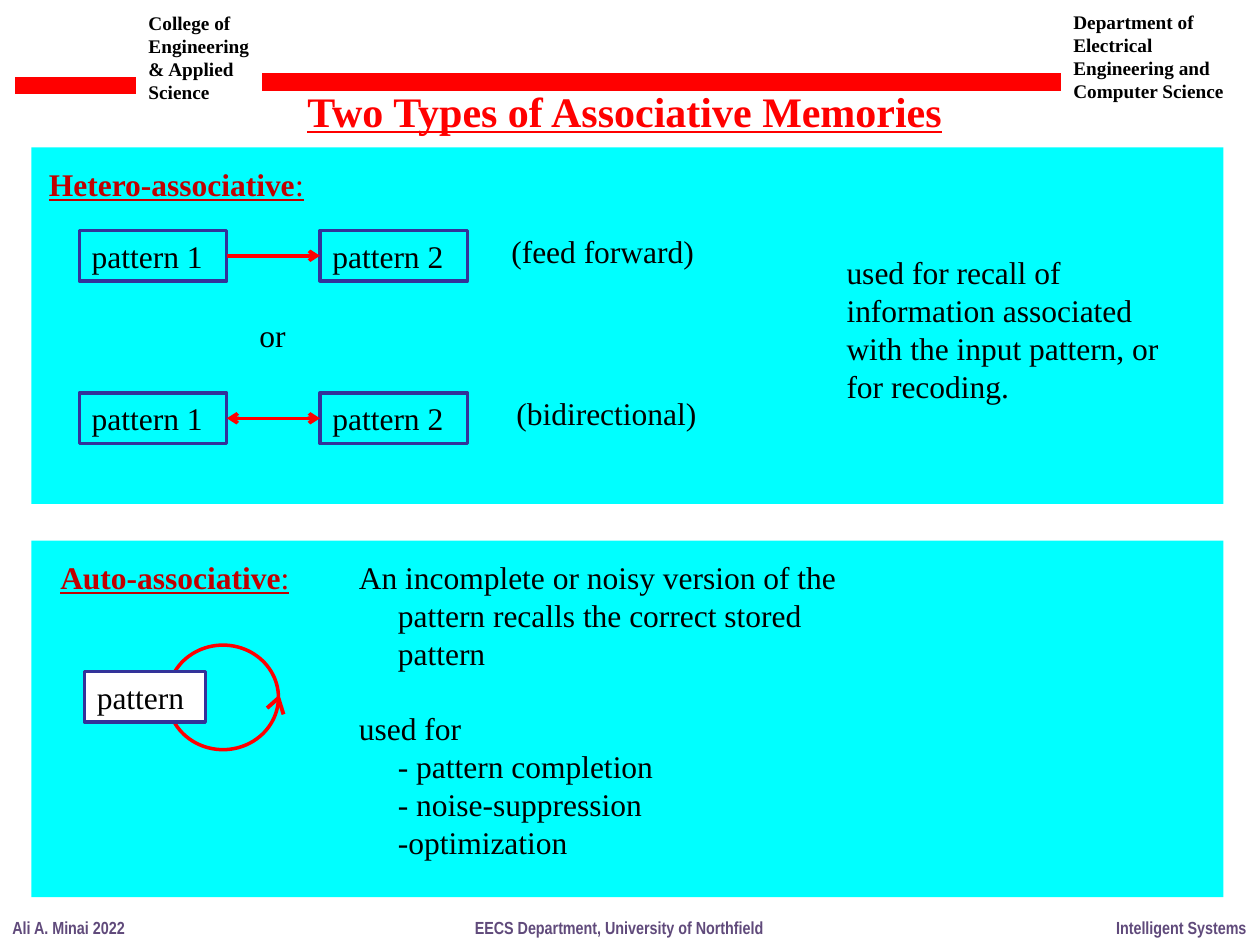
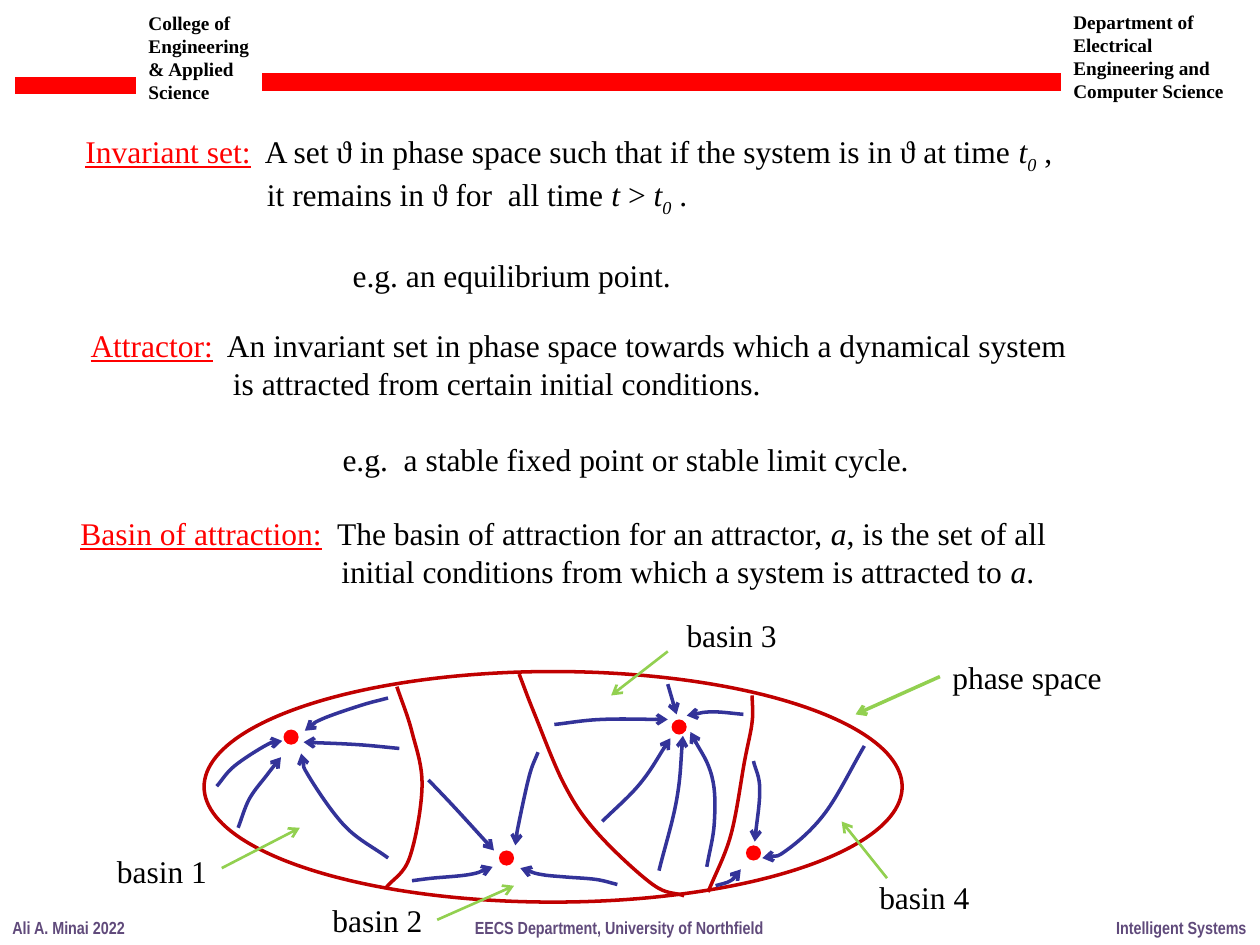
from lxml import etree
from pptx import Presentation
from pptx.dml.color import RGBColor
from pptx.enum.shapes import MSO_CONNECTOR, MSO_SHAPE
from pptx.enum.text import MSO_ANCHOR, PP_ALIGN
from pptx.oxml.ns import qn
from pptx.util import Inches, Pt

STRAIGHT = MSO_CONNECTOR.STRAIGHT
RECTANGLE, OVAL = MSO_SHAPE.RECTANGLE, MSO_SHAPE.OVAL
LEFT, TOP = PP_ALIGN.LEFT, MSO_ANCHOR.TOP

BLACK = RGBColor(0x00, 0x00, 0x00)
WHITE = RGBColor(0xFF, 0xFF, 0xFF)
RED = RGBColor(0xFF, 0x00, 0x00)
DARK_RED = RGBColor(0xC0, 0x00, 0x00)
CYAN = RGBColor(0x00, 0xFF, 0xFF)
NAVY = RGBColor(0x33, 0x33, 0x99)
GREEN = RGBColor(0x92, 0xD0, 0x50)
PURPLE = RGBColor(0x60, 0x4A, 0x7B)

SERIF, NARROW = "Times New Roman", "Arial Narrow"
BLANK_LINE = Pt(21.6)
PANEL_WIDTH, PANEL_HEIGHT = 9.46, 2.83
DOT = 0.12

TERM, ITALIC, SUBSCRIPT = "term", "italic", "subscript"

INVARIANT_SET = [
    (0, [("Invariant set:", TERM),
         ("  A set ϑ in phase space such that if the system is in ϑ at time ", None),
         ("t", ITALIC), ("0", SUBSCRIPT), (" ,", None)]),
    (1.44, [("it remains in ϑ for  all time ", None), ("t ", ITALIC), ("> ", None),
            ("t", ITALIC), ("0", SUBSCRIPT), (" .", None)]),
    (2.12, [("e.g. an equilibrium point.", None)]),
]
ATTRACTOR = [
    (0, [("Attractor:", TERM),
         ("  An invariant set in phase space towards which a dynamical system", None)]),
    (1.13, [("is attracted from certain initial conditions.", None)]),
    (2, [("e.g.  a stable fixed point or stable limit cycle.", None)]),
]
BASIN = [
    (0, [("Basin of attraction:", TERM), ("  The basin of attraction for an attractor, ", None),
         ("a", ITALIC), (", is the set of all", None)]),
    (2.07, [("initial conditions from which a system is attracted to ", None),
            ("a", ITALIC), (".", None)]),
]

BORDERS = [
    [(3.15, 0.65), (3.27, 1.01), (3.35, 1.44), (3.25, 2.01), (3.06, 2.25)],
    [(4.12, 0.55), (4.24, 0.86), (4.48, 1.43), (4.74, 1.81), (5.18, 2.22), (5.43, 2.31)],
    [(5.97, 0.72), (5.97, 0.93), (5.91, 1.24), (5.8, 1.83), (5.62, 2.28)],
]
FLOWS = [
    [(3.08, 2.01), (2.74, 1.76), (2.45, 1.36), (2.39, 1.18)],
    [(3.17, 1.14), (2.84, 1.11), (2.41, 1.09)],
    [(3.08, 0.74), (2.86, 0.8), (2.55, 0.91), (2.42, 1)],
    [(1.89, 1.77), (1.98, 1.54), (2.12, 1.35), (2.23, 1.21)],
    [(1.72, 1.44), (1.86, 1.28), (2.12, 1.11), (2.24, 1.08)],
    [(4.27, 1.17), (4.2, 1.36), (4.11, 1.77), (4.09, 1.91)],
    [(3.4, 1.39), (3.6, 1.6), (3.92, 1.95)],
    [(4.9, 2.22), (4.73, 2.18), (4.48, 2.16), (4.29, 2.14), (4.13, 2.09)],
    [(3.27, 2.19), (3.43, 2.17), (3.73, 2.14), (3.91, 2.08)],
    [(4.4, 0.95), (4.77, 0.91), (5.3, 0.91)],
    [(4.78, 1.72), (5.08, 1.42), (5.32, 1.06)],
    [(5.23, 2.11), (5.37, 1.55), (5.42, 1.04)],
    [(5.61, 2.08), (5.67, 1.73), (5.65, 1.36), (5.48, 1.01)],
    [(5.9, 0.87), (5.65, 0.85), (5.45, 0.88)],
    [(5.3, 0.63), (5.37, 0.87)],
    [(6.86, 1.12), (6.55, 1.65), (6.24, 1.95), (6.05, 2.01)],
    [(5.98, 1.24), (6.03, 1.46), (5.99, 1.88)],
    [(5.68, 2.23), (5.8, 2.19), (5.88, 2.1)],
]
FIXED_POINTS = [(2.25, 0.99), (5.92, 1.91), (5.33, 0.91), (3.96, 1.95)]
LABELS = [
    ("phase space", 1.4, (7.46, 0.37), (7.46, 0.57), (6.79, 0.87), 2),
    ("basin 1", 0.92, (0.83, 1.91), (1.76, 2.09), (2.38, 1.77), 1.5),
    ("basin 2", 0.92, (2.54, 2.3), (3.47, 2.5), (4.08, 2.23), 1.5),
    ("basin 3", 0.92, (5.35, 0.04), (5.3, 0.37), (4.85, 0.72), 1.5),
    ("basin 4", 0.92, (6.88, 2.12), (7.04, 2.17), (6.68, 1.72), 1.5),
]


def set_font(font, size=18, color=BLACK, bold=False, name=SERIF):
    font.name, font.size, font.bold = name, Pt(size), bold
    font.color.rgb = color


def add_text(page, left, top, width, height, lines, wrap=True, **style):
    box = page.shapes.add_textbox(Inches(left), Inches(top), Inches(width), Inches(height))
    box.text_frame.word_wrap = wrap
    box.text_frame.text = "\n".join(lines)
    for para in box.text_frame.paragraphs:
        set_font(para.font, **style)
    return box


def indent(para, inches):
    para._p.get_or_add_pPr().set("marL", str(Inches(inches)))


def add_shape(page, kind, left, top, width, height, fill=None, line=None):
    shape = page.shapes.add_shape(kind, Inches(left), Inches(top), Inches(width), Inches(height))
    paint(shape, fill, line)
    return shape


def paint(shape, fill, line):
    shape.shadow.inherit = False
    if fill is None:
        shape.fill.background()
    else:
        shape.fill.solid()
        shape.fill.fore_color.rgb = fill
    if line is None:
        shape.line.fill.background()
    else:
        shape.line.color.rgb = line
        shape.line.width = Pt(2)


def add_arrowheads(shape, *ends):
    for end in ends:
        etree.SubElement(shape.line._get_or_add_ln(), qn(f"a:{end}"), type="arrow")


def add_line(page, start, finish, color, width, *ends):
    line = page.shapes.add_connector(STRAIGHT, *(Inches(value) for value in (*start, *finish)))
    line.line.color.rgb = color
    line.line.width = Pt(width)
    etree.SubElement(line._element.spPr, qn("a:effectLst"))
    add_arrowheads(line, *ends)
    return line


def spline_points(knots):
    last = len(knots) - 1

    def slope(index):
        before, after = max(index - 1, 0), min(index + 1, last)
        return [(b - a) / (3 * (after - before)) for a, b in zip(knots[before], knots[after])]

    points = []
    for index in range(last):
        points.append([k + s for k, s in zip(knots[index], slope(index))])
        points.append([k - s for k, s in zip(knots[index + 1], slope(index + 1))])
        points.append(knots[index + 1])
    return points


def add_curve(page, left, top, knots, color, *ends):
    def place(point):
        return Inches(left + point[0]), Inches(top + point[1])

    builder = page.shapes.build_freeform(*place(knots[0]))
    builder.add_line_segments([place(point) for point in spline_points(knots)], close=False)
    curve = builder.convert_to_shape()
    outline = curve._element.find(".//" + qn("a:path"))
    segments = outline.findall(qn("a:lnTo"))
    for first in range(0, len(segments), 3):
        bezier = etree.SubElement(outline, qn("a:cubicBezTo"))
        for segment in segments[first:first + 3]:
            bezier.append(segment[0])
            outline.remove(segment)
    paint(curve, None, color)
    add_arrowheads(curve, *ends)


def add_frame(page):
    for left, right, y in [(0.12, 1.08, 0.68), (2.08, 8.42, 0.65)]:
        add_line(page, (left, y), (right, y), RED, 10)
    add_text(page, 1.08, 0.04, 1.09, 0.84, ["College of Engineering & Applied", "Science"],
             size=11, bold=True)
    add_text(page, 8.42, 0.03, 1.47, 0.84,
             ["Department of Electrical Engineering and Computer Science"], size=11, bold=True)
    for left, width, text in [(0, 1.1, "Ali A. Minai 2022"),
                              (3.67, 2.52, "EECS Department, University of Northfield"),
                              (8.76, 1.24, "Intelligent Systems")]:
        add_text(page, left, 7.23, width, 0.27, [text], wrap=False,
                 size=10, color=PURPLE, bold=True, name=NARROW)


def add_panel(page, left, top, heading, offset, width):
    add_shape(page, RECTANGLE, left, top, PANEL_WIDTH, PANEL_HEIGHT, fill=CYAN)
    box = add_text(page, left + offset, top + 0.09, width, 0.4, [heading], color=DARK_RED)
    para = box.text_frame.paragraphs[0]
    para.font.underline = True
    para.runs[0].font.bold = True
    para.add_run().text = ":"


def add_pattern(page, left, top, width, text, fill=None):
    shape = add_shape(page, RECTANGLE, left, top, width, 0.4, fill, NAVY)
    shape.text_frame.vertical_anchor = TOP
    shape.text_frame.text = text
    para = shape.text_frame.paragraphs[0]
    para.alignment = LEFT
    set_font(para.font)
    return shape


def add_hetero_panel(page, left, top):
    add_panel(page, left, top, "Hetero-associative", 0.04, 2.58)
    for row, caption, shift, ends in [
            (0.66, "(feed forward)", 3.71, ["tailEnd"]),
            (1.95, "(bidirectional)", 3.75, ["headEnd", "tailEnd"])]:
        source = add_pattern(page, left + 0.38, top + row, 1.17, "pattern 1")
        target = add_pattern(page, left + 2.29, top + row, 1.17, "pattern 2")
        middle = top + row + 0.2
        link = add_line(page, (left + 1.55, middle), (left + 2.29, middle), RED, 2, *ends)
        link.begin_connect(source, 3)
        link.end_connect(target, 1)
        add_text(page, left + shift, top + row - 0.04, 1.71, 0.4, [caption])
    add_text(page, left + 1.71, top + 1.29, 0.46, 0.4, ["or"])
    add_text(page, left + 6.37, top + 0.79, 2.88, 1.31,
             ["used for recall of", "information associated",
              "with the input pattern, or", "for recoding."])


def add_auto_panel(page, left, top):
    add_panel(page, left, top, "Auto-associative", 0.13, 2.15)
    box = add_text(page, left + 2.5, top + 0.09, 4.04, 2.52,
                   ["An incomplete or noisy version of the", "pattern recalls the correct stored",
                    "pattern", "used for", "- pattern completion", "- noise-suppression",
                    "-optimization"])
    paras = box.text_frame.paragraphs
    for index in (1, 2, 4, 5, 6):
        indent(paras[index], 0.31)
    paras[3].space_before = BLANK_LINE
    add_shape(page, OVAL, left + 1.08, top + 0.83, 0.88, 0.83, line=RED)
    add_pattern(page, left + 0.42, top + 1.04, 0.96, "pattern", WHITE)
    for x, y in [(1.87, 1.33), (2, 1.38)]:
        add_line(page, (left + 1.96, top + 1.25), (left + x, top + y), RED, 2.25)


def add_definition(page, left, top, width, height, lines):
    box = add_text(page, left, top, width, height, [""] * len(lines), wrap=False)
    for para, (margin, spans) in zip(box.text_frame.paragraphs, lines):
        indent(para, margin)
        for text, style in spans:
            span = para.add_run()
            span.text = text
            if style == TERM:
                span.font.underline = True
                span.font.color.rgb = RED
            elif style:
                span.font.italic = True
            if style == SUBSCRIPT:
                span._r.get_or_add_rPr().set("baseline", "-25000")
    if len(lines) == 3:
        box.text_frame.paragraphs[2].space_before = BLANK_LINE


def add_phase_space(page, left, top):
    add_shape(page, OVAL, left + 1.62, top + 0.53, 5.54, 1.83, line=DARK_RED)
    for border in BORDERS:
        add_curve(page, left, top, border, DARK_RED)
    for flow in FLOWS:
        add_curve(page, left, top, flow, NAVY, "tailEnd")
    for x, y in FIXED_POINTS:
        add_shape(page, OVAL, left + x, top + y, DOT, DOT, fill=RED)
    for text, width, corner, start, finish, weight in LABELS:
        add_text(page, left + corner[0], top + corner[1], width, 0.4, [text], wrap=False)
        add_line(page, (left + start[0], top + start[1]), (left + finish[0], top + finish[1]),
                 GREEN, weight, "tailEnd")


def add_page(deck):
    page = deck.slides.add_slide(deck.slide_layouts[6])
    add_frame(page)
    return page


def main():
    deck = Presentation()
    deck.slide_width, deck.slide_height = Inches(10), Inches(7.5)

    memories = add_page(deck)
    add_hetero_panel(memories, 0.25, 1.17)
    add_auto_panel(memories, 0.25, 4.29)
    title = add_text(memories, 2.34, 0.63, 5.29, 0.5, ["Two Types of Associative Memories"],
                     wrap=False, size=24, color=RED, bold=True)
    title.text_frame.paragraphs[0].font.underline = True

    attractors = add_page(deck)
    add_definition(attractors, 0.58, 1, 8.02, 1.31, INVARIANT_SET)
    add_definition(attractors, 0.62, 2.54, 8.09, 1.31, ATTRACTOR)
    add_definition(attractors, 0.54, 4.03, 8.01, 0.71, BASIN)
    add_phase_space(attractors, 0, 4.8)

    deck.save("out.pptx")


if __name__ == "__main__":
    main()
